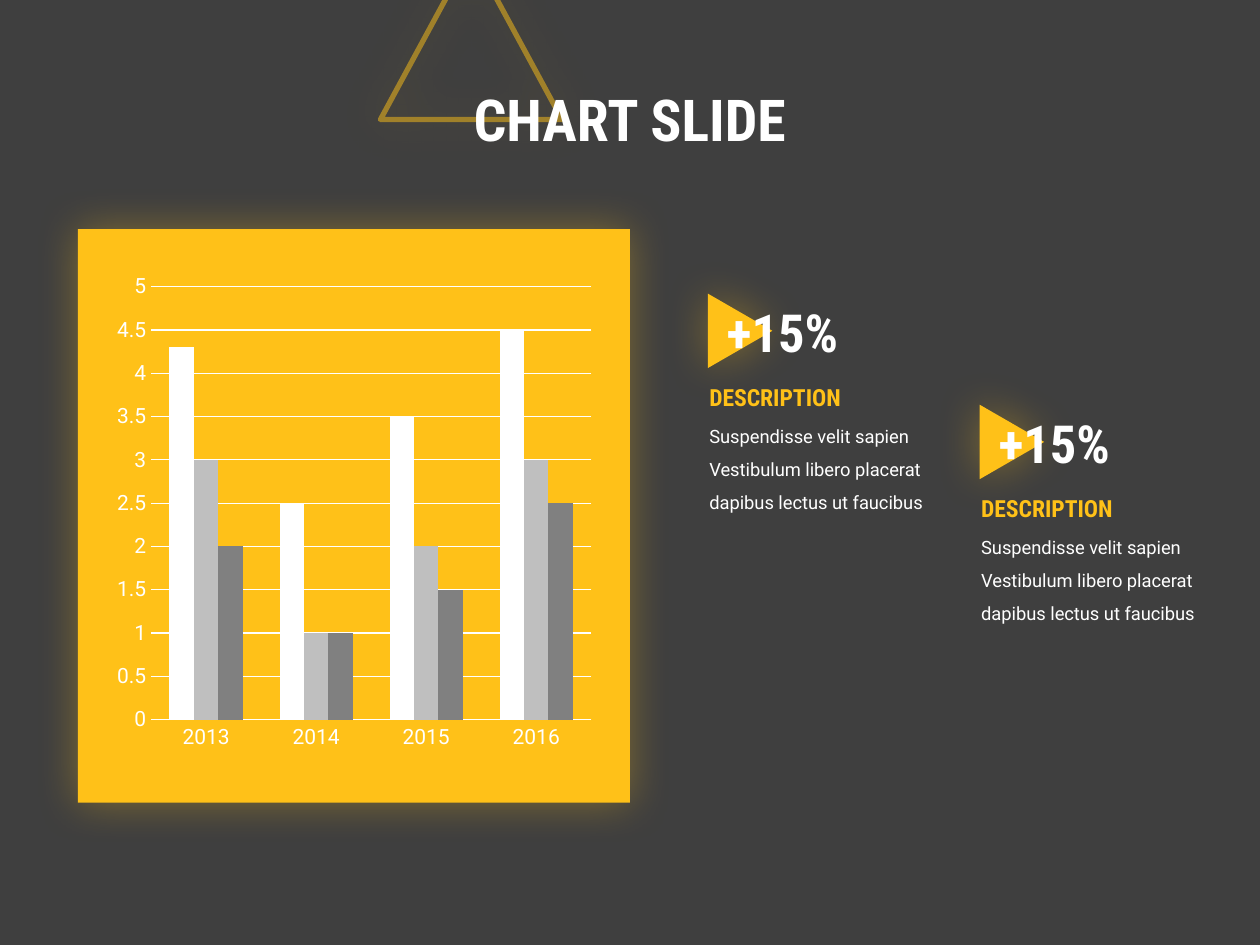
from dataclasses import dataclass

from lxml import etree
from pptx import Presentation
from pptx import util as u
from pptx.chart.data import CategoryChartData
from pptx.dml.color import RGBColor
from pptx.enum import chart as ch
from pptx.enum import shapes, text
from pptx.oxml.ns import qn

COLORS = {
    "dark": "3F3F3F",
    "gold": "FFC118",
    "white": "FFFFFF",
    "light_gray": "BFBFBF",
    "gray": "808080",
}
BODY_FONT = "Roboto"
HEAD_FONT = "Roboto Condensed"


@dataclass
class Callout:
    left: float
    top: float
    figure: str
    heading: str
    body: str


@dataclass
class Series:
    name: str
    values: tuple
    color: str


BODY = "Suspendisse velit sapien Vestibulum libero placerat dapibus lectus ut faucibus"
CALLOUTS = [
    Callout(14.05, 5.92, "+15%", "DESCRIPTION", BODY),
    Callout(19.53, 8.16, "+15%", "DESCRIPTION", BODY),
]
YEARS = ["2013", "2014", "2015", "2016"]
SERIES = [
    Series("Series 1", (4.3, 2.5, 3.5, 4.5), "white"),
    Series("Series 2", (3, 1, 2, 3), "light_gray"),
    Series("Series 3", (2, 1, 1.5, 2.5), "gray"),
]


def rgb(name: str) -> RGBColor:
    return RGBColor.from_string(COLORS[name])


def box(left: float, top: float, width: float, height: float) -> tuple:
    return u.Cm(left), u.Cm(top), u.Cm(width), u.Cm(height)


def set_alpha(color_parent, percent: int) -> None:
    clr = color_parent.find(".//" + qn("a:srgbClr"))
    etree.SubElement(clr, qn("a:alpha")).set("val", str(percent * 1000))


def add_glow(sp) -> None:
    """Give the shape a soft gold shadow without offset."""
    sp.shadow.inherit = False
    effects = sp._element.spPr.find(qn("a:effectLst"))
    shadow = etree.SubElement(effects, qn("a:outerShdw"), blurRad=str(u.Pt(25)),
                              dist="0", dir="0", algn="ctr", rotWithShape="0")
    etree.SubElement(shadow, qn("a:srgbClr"), val=COLORS["gold"])
    set_alpha(shadow, 35)


def add_gold_shape(s, kind, place: tuple, rotation: float = 0):
    sp = s.shapes.add_shape(kind, *box(*place))
    sp.rotation = rotation
    sp.fill.solid()
    sp.fill.fore_color.rgb = rgb("gold")
    sp.line.fill.background()
    add_glow(sp)
    return sp


def format_font(font, size: float, name: str, color: str, bold: bool = False) -> None:
    font.size = u.Pt(size)
    font.name = name
    font.bold = bold
    font.color.rgb = rgb(color)


def add_text(s, place: tuple, words: str, size: float, name: str, color: str,
             bold: bool = False, spacing: float = 1.0) -> None:
    tf = s.shapes.add_textbox(*box(*place)).text_frame
    tf.word_wrap = True
    tf.text = words
    p = tf.paragraphs[0]
    p.line_spacing = spacing
    format_font(p.runs[0].font, size, name, color, bold)


def add_callout(s, c: Callout) -> None:
    x, y = c.left, c.top
    add_gold_shape(s, shapes.MSO_SHAPE.ISOSCELES_TRIANGLE, (x + 0.12, y + 0.1, 1.5, 1.3), 90)
    add_text(s, (x, y + 2.31, 5.36, 2.21), c.body, 10.5, BODY_FONT, "white", spacing=1.5)
    add_text(s, (x, y + 1.67, 4.67, 0.84), c.heading, 13.5, HEAD_FONT, "gold", True)
    add_text(s, (x + 0.35, y, 3.4, 1.55), c.figure, 30, HEAD_FONT, "white", True)


def add_column_chart(s) -> None:
    data = CategoryChartData()
    data.categories = YEARS
    for item in SERIES:
        data.add_series(item.name, item.values)
    chart = s.shapes.add_chart(ch.XL_CHART_TYPE.COLUMN_CLUSTERED,
                               *box(2.16, 5.33, 9.96, 9.98), data).chart
    chart.has_legend = False
    chart.has_title = False
    format_font(chart.font, 10, BODY_FONT, "white")

    plot = chart.plots[0]
    plot.gap_width = 150
    plot.overlap = 0
    plot.vary_by_categories = False
    for series, item in zip(plot.series, SERIES):
        series.format.fill.solid()
        series.format.fill.fore_color.rgb = rgb(item.color)

    for axis in (chart.category_axis, chart.value_axis):
        axis.major_tick_mark = axis.minor_tick_mark = ch.XL_TICK_MARK.NONE
        axis.format.line.fill.background()
        format_font(axis.tick_labels.font, 12, BODY_FONT, "white")
    values = chart.value_axis
    values.minimum_scale, values.maximum_scale, values.major_unit = 0, 5, 0.5
    grid = values.major_gridlines.format.line
    grid.width = u.Pt(0.75)
    grid.color.rgb = rgb("white")


def main() -> None:
    prs = Presentation()
    prs.slide_width, prs.slide_height = u.Cm(25.4), u.Cm(19.05)
    s = prs.slides.add_slide(prs.slide_layouts[5])
    s.background.fill.solid()
    s.background.fill.fore_color.rgb = rgb("dark")

    # Outlined triangle behind the title
    sp = s.shapes.add_shape(shapes.MSO_SHAPE.ISOSCELES_TRIANGLE, *box(7.67, -0.97, 3.66, 3.38))
    sp.fill.background()
    sp.line.width = u.Pt(3)
    sp.line.color.rgb = rgb("gold")
    set_alpha(sp.line._ln, 50)
    add_glow(sp)

    # Title, moved in front of the triangle
    title = s.shapes.title
    title.left, title.top, title.width, title.height = box(6.22, 1.24, 12.95, 2.49)
    sp._element.addnext(title._element)
    tf = title.text_frame
    tf.text = "CHART SLIDE"
    tf.vertical_anchor = text.MSO_ANCHOR.MIDDLE
    p = tf.paragraphs[0]
    p.alignment = text.PP_ALIGN.CENTER
    p.line_spacing = 0.9
    format_font(p.runs[0].font, 33, HEAD_FONT, "white", True)

    # Translucent peak across the lower half
    peak = s.shapes.build_freeform(u.Cm(12.7), u.Cm(10.26))
    corners = [(25.4, 18.54), (25.4, 19.05), (0, 19.05), (0, 18.54)]
    peak.add_line_segments([(u.Cm(x), u.Cm(y)) for x, y in corners], close=True)
    sp = peak.convert_to_shape()
    sp.shadow.inherit = False
    sp.fill.solid()
    sp.fill.fore_color.rgb = rgb("dark")
    set_alpha(sp._element.spPr, 70)
    sp.line.fill.background()

    # Chart on its gold panel
    add_gold_shape(s, shapes.MSO_SHAPE.RECTANGLE, (1.57, 4.62, 11.13, 11.56))
    add_column_chart(s)

    # Key figures
    for callout in CALLOUTS:
        add_callout(s, callout)

    prs.save("out.pptx")


if __name__ == "__main__":
    main()
